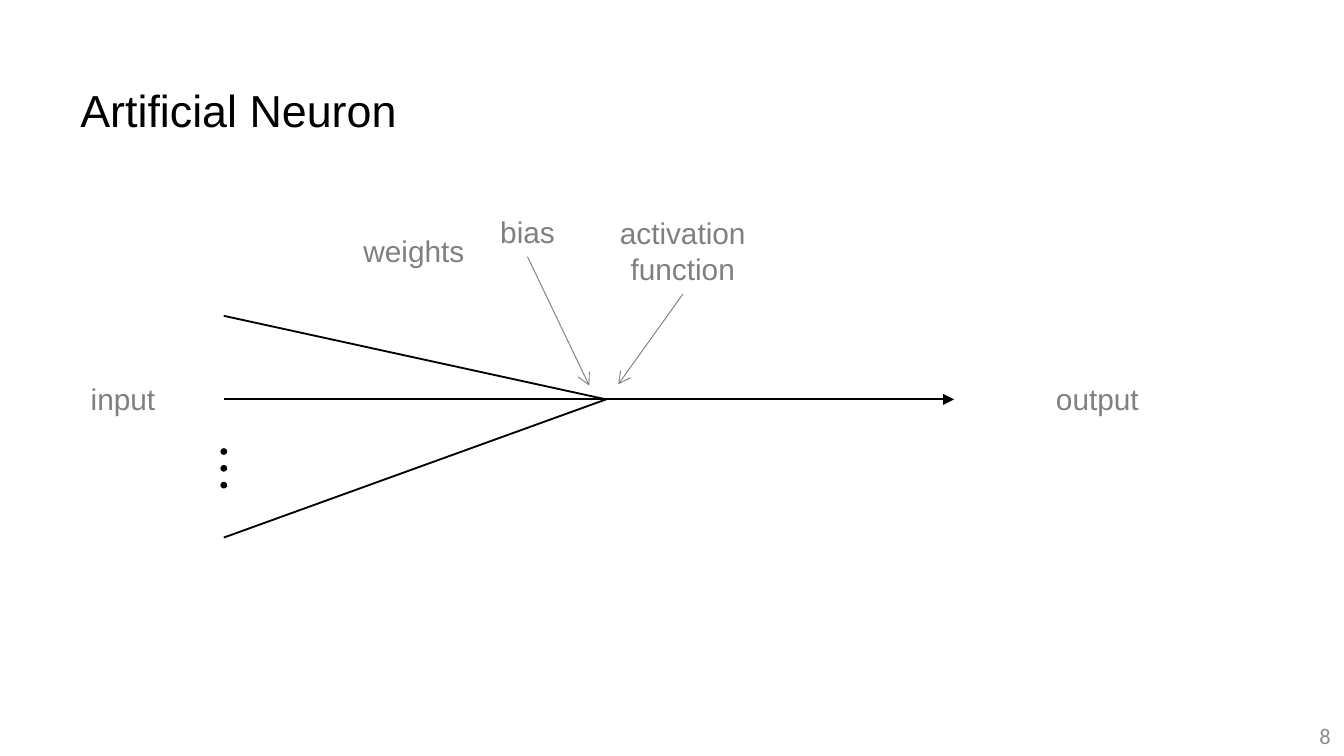
from lxml.etree import SubElement
from pptx import Presentation
from pptx.dml.color import RGBColor
from pptx.enum.shapes import MSO_CONNECTOR, MSO_SHAPE
from pptx.enum.text import MSO_ANCHOR, PP_ALIGN
from pptx.oxml.ns import qn
from pptx.util import Inches, Pt

COLORS = {"ink": "000000", "label": "808080", "number": "8C8C8C"}
COLUMNS, ROWS = 100, 56.25
CELL = Inches(0.1)
NEURON = (45.1, 29.72)
INPUT_COLUMN = 16.65


def grid(*cells):
    return [round(cell * CELL) for cell in cells]


def color(name):
    return RGBColor.from_string(COLORS[name])


def add_text(slide, text, box, size=16, font="Arial", ink="label",
             align=PP_ALIGN.CENTER, anchor=MSO_ANCHOR.TOP, wrap=False):
    shape = slide.shapes.add_textbox(*grid(*box))
    frame = shape.text_frame
    frame.word_wrap = wrap
    frame.vertical_anchor = anchor
    frame.text = text
    for paragraph in frame.paragraphs:
        paragraph.alignment = align
        paragraph.font.size = Pt(size)
        paragraph.font.name = font
        paragraph.font.color.rgb = color(ink)


def add_line(slide, start, end, ink="ink", width=1, head=None):
    connector = slide.shapes.add_connector(
        MSO_CONNECTOR.STRAIGHT, *grid(*start, *end))
    connector.line.color.rgb = color(ink)
    connector.line.width = Pt(width)
    if head:
        line = connector._element.spPr.find(qn("a:ln"))
        SubElement(line, qn("a:tailEnd"), type=head)
    SubElement(connector._element.spPr, qn("a:effectLst"))


def add_dots(slide, center, top, count=3, size=0.5, pitch=1.25):
    group = slide.shapes.add_group_shape()
    for index in range(count):
        dot = group.shapes.add_shape(MSO_SHAPE.OVAL, *grid(
            center - size / 2, top + index * pitch, size, size))
        dot.shadow.inherit = False
        dot.fill.solid()
        dot.fill.fore_color.rgb = color("ink")
        dot.line.fill.background()


def main():
    presentation = Presentation()
    presentation.slide_width, presentation.slide_height = grid(COLUMNS, ROWS)
    slide = presentation.slides.add_slide(presentation.slide_layouts[6])

    for row in (40, NEURON[1], 23.5):
        add_line(slide, (INPUT_COLUMN, row), NEURON)
    add_text(slide, "Artificial Neuron", (5, 5.65, 90, 5), size=24, ink="ink",
             align=PP_ALIGN.LEFT, anchor=MSO_ANCHOR.MIDDLE, wrap=True)
    add_text(slide, "8", (77.5, 53.25, 22.5, 3), size=12, font="Calibri",
             ink="number", align=PP_ALIGN.RIGHT, anchor=MSO_ANCHOR.MIDDLE,
             wrap=True)
    for text, box in (
        ("input", (5.7, 27.85, 6.9, 3.7)),
        ("output", (77.5, 27.85, 8.3, 3.7)),
        ("weights", (26, 16.85, 9.6, 3.7)),
        ("bias", (36.2, 15.4, 6.1, 3.7)),
        ("activation\nfunction", (45.05, 15.5, 11.5, 6.4)),
    ):
        add_text(slide, text, box)

    add_line(slide, NEURON, (71, NEURON[1]), head="triangle")
    add_dots(slide, INPUT_COLUMN, 33.35)
    for start, end in (((39.25, 19.1), (43.85, 28.7)),
                       ((50.8, 21.9), (46, 28.6))):
        add_line(slide, start, end, ink="label", width=0.5, head="arrow")

    presentation.save("out.pptx")


if __name__ == "__main__":
    main()
